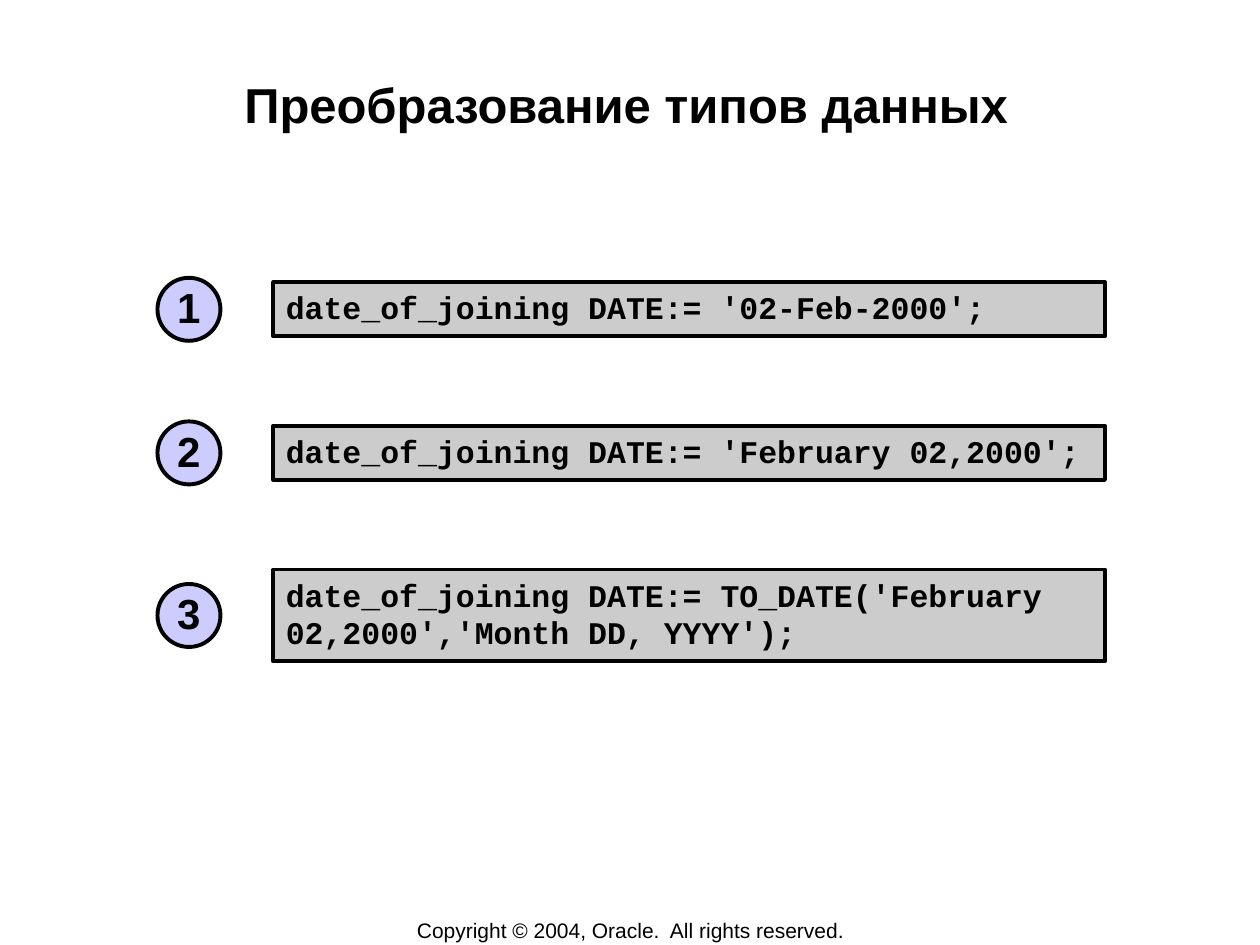
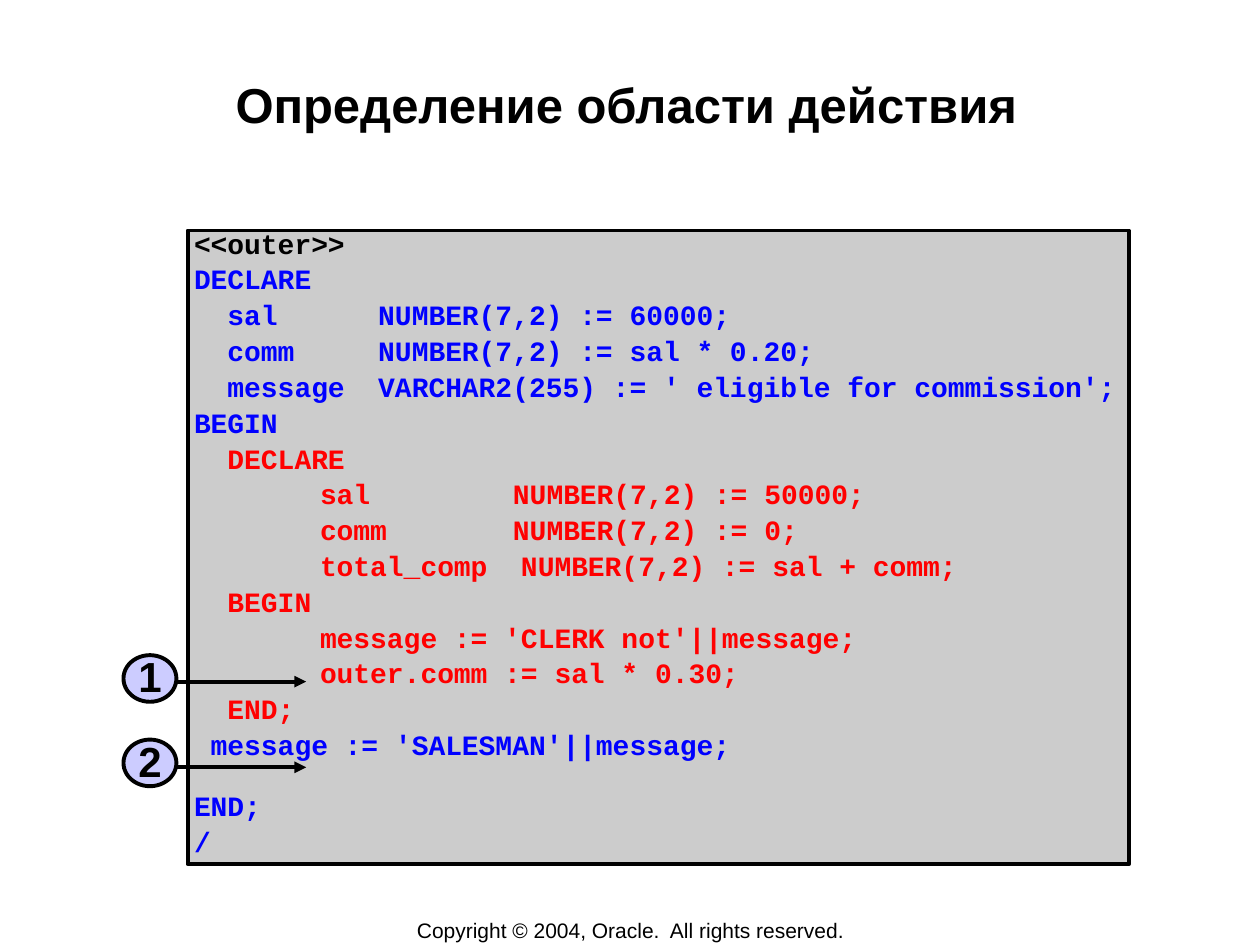
from lxml.etree import SubElement
from pptx import Presentation
from pptx.dml.color import RGBColor
from pptx.enum.shapes import MSO_CONNECTOR, MSO_SHAPE
from pptx.enum.text import MSO_ANCHOR, MSO_AUTO_SIZE, PP_ALIGN
from pptx.oxml.ns import qn
from pptx.util import Inches, Pt

BLACK = RGBColor(0x00, 0x00, 0x00)
BLUE = RGBColor(0x00, 0x00, 0xFF)
RED = RGBColor(0xFF, 0x00, 0x00)
CODE_GREY = RGBColor(0xCC, 0xCC, 0xCC)
MARKER_LILAC = RGBColor(0xCC, 0xCC, 0xFF)

TEXT_FONT = "Arial"
CODE_FONT = "Courier New"
OUTLINE = Pt(2.25)
TITLE_ONLY = 5
COPYRIGHT = "Copyright © 2004, Oracle.  All rights reserved."

CONVERSIONS = [
    ("date_of_joining DATE:= '02-Feb-2000';", 0.43),
    ("date_of_joining DATE:= 'February 02,2000';", 0.43),
    ("date_of_joining DATE:= TO_DATE('February 02,2000','Month DD, YYYY');", 0.73),
]

SCOPE_CODE = [
    (BLACK, ["<<outer>>"]),
    (BLUE, [
        "DECLARE",
        "  sal      NUMBER(7,2) := 60000;",
        "  comm     NUMBER(7,2) := sal * 0.20;",
        "  message  VARCHAR2(255) := ' eligible for commission';",
        "BEGIN",
    ]),
    (RED, [
        "  DECLARE",
        "    \tsal\t    NUMBER(7,2) := 50000;",
        "    \tcomm  \t    NUMBER(7,2) := 0;",
        "    \ttotal_comp  NUMBER(7,2) := sal + comm;",
        "  BEGIN",
        "    \tmessage := 'CLERK not'||message;",
        "    \touter.comm := sal * 0.30;",
        "  END;",
    ]),
    (BLUE, [" message := 'SALESMAN'||message;", "END;", "/"]),
]


def style_font(paragraph, name, size, color=BLACK, bold=True):
    font = paragraph.font
    font.name = name
    font.size = Pt(size)
    font.bold = bold
    font.color.rgb = color


def set_margins(frame, left, top, right, bottom):
    frame.margin_left, frame.margin_top = Inches(left), Inches(top)
    frame.margin_right, frame.margin_bottom = Inches(right), Inches(bottom)


def add_tab_stops(paragraph, stops):
    tab_list = SubElement(paragraph._p.get_or_add_pPr(), qn("a:tabLst"))
    for stop in stops:
        SubElement(tab_list, qn("a:tab"), pos=str(Inches(stop)), algn="l")


def add_title(slide, text):
    title = slide.shapes.title
    title.left, title.top = Inches(0.97), Inches(0.58)
    title.width, title.height = Inches(8), Inches(0.96)
    frame = title.text_frame
    frame.text = text
    frame.auto_size = MSO_AUTO_SIZE.NONE
    frame.vertical_anchor = MSO_ANCHOR.TOP
    set_margins(frame, 0.01, 0.01, 0.01, 0.01)
    heading = frame.paragraphs[0]
    heading.alignment = PP_ALIGN.CENTER
    style_font(heading, TEXT_FONT, 28)


def add_copyright(slide):
    footer = slide.shapes.add_textbox(Inches(2.76), Inches(7.28), Inches(4.49), Inches(0.21))
    frame = footer.text_frame
    frame.text = COPYRIGHT
    frame.word_wrap = False
    frame.vertical_anchor = MSO_ANCHOR.MIDDLE
    notice = frame.paragraphs[0]
    notice.alignment = PP_ALIGN.CENTER
    style_font(notice, TEXT_FONT, 12, bold=False)


def add_outlined(slide, preset, left, top, width, height, fill):
    outlined = slide.shapes.add_shape(
        preset, Inches(left), Inches(top), Inches(width), Inches(height))
    outlined.shadow.inherit = False
    outlined.fill.solid()
    outlined.fill.fore_color.rgb = fill
    outlined.line.color.rgb = BLACK
    outlined.line.width = OUTLINE
    return outlined.text_frame


def add_code_box(slide, left, top, width, height):
    frame = add_outlined(slide, MSO_SHAPE.RECTANGLE, left, top, width, height, CODE_GREY)
    frame.word_wrap = True
    frame.vertical_anchor = MSO_ANCHOR.TOP
    return frame


def add_marker(slide, number, left, top, width, height):
    frame = add_outlined(slide, MSO_SHAPE.OVAL, left, top, width, height, MARKER_LILAC)
    frame.text = str(number)
    frame.word_wrap = False
    frame.vertical_anchor = MSO_ANCHOR.MIDDLE
    set_margins(frame, 0.05, 0.05, 0.05, 0.05)
    digit = frame.paragraphs[0]
    digit.alignment = PP_ALIGN.CENTER
    digit.line_spacing = 0.95
    style_font(digit, TEXT_FONT, 24)


def add_arrow(slide, start, end, y):
    arrow = slide.shapes.add_connector(
        MSO_CONNECTOR.STRAIGHT, Inches(start), Inches(y), Inches(end), Inches(y))
    arrow.line.color.rgb = BLACK
    arrow.line.width = OUTLINE
    SubElement(arrow.line._get_or_add_ln(), qn("a:tailEnd"), type="triangle")
    SubElement(arrow._element.spPr, qn("a:effectLst"))


def add_content_slide(deck, title):
    slide = deck.slides.add_slide(deck.slide_layouts[TITLE_ONLY])
    add_title(slide, title)
    add_copyright(slide)
    return slide


def build_conversion_slide(deck):
    slide = add_content_slide(deck, "Преобразование типов данных")
    top, gap, marker_size = 2.24, 0.71, 0.5
    for number, (statement, height) in enumerate(CONVERSIONS, start=1):
        frame = add_code_box(slide, 2.17, top, 6.6, height)
        frame.text = statement
        line = frame.paragraphs[0]
        line.alignment = PP_ALIGN.LEFT
        style_font(line, CODE_FONT, 18)
        marker_top = top + (height - marker_size) / 2
        add_marker(slide, number, 1.25, marker_top, marker_size, marker_size)
        top += height + gap


def build_scope_slide(deck):
    slide = add_content_slide(deck, "Определение области действия")
    frame = add_code_box(slide, 1.49, 1.83, 7.47, 5.03)
    set_margins(frame, 0.05, 0.05, 0, 0.05)
    colored_lines = [(color, text) for color, block in SCOPE_CODE for text in block]
    for index, (color, text) in enumerate(colored_lines):
        line = frame.add_paragraph() if index else frame.paragraphs[0]
        line.text = text
        line.alignment = PP_ALIGN.LEFT
        add_tab_stops(line, (1, 2))
        line.line_spacing = 0.65
        if index:
            line.space_before = Pt(22.4 if text == "END;" else 8)
        style_font(line, CODE_FONT, 16, color)
    for number, (marker_top, arrow_y) in enumerate([(5.2, 5.41), (5.87, 6.09)], start=1):
        add_arrow(slide, 0.97, 2.43, arrow_y)
        add_marker(slide, number, 0.98, marker_top, 0.42, 0.37)


def main():
    deck = Presentation()
    deck.slide_width, deck.slide_height = Inches(10), Inches(7.5)
    build_conversion_slide(deck)
    build_scope_slide(deck)
    deck.save("out.pptx")


if __name__ == "__main__":
    main()
